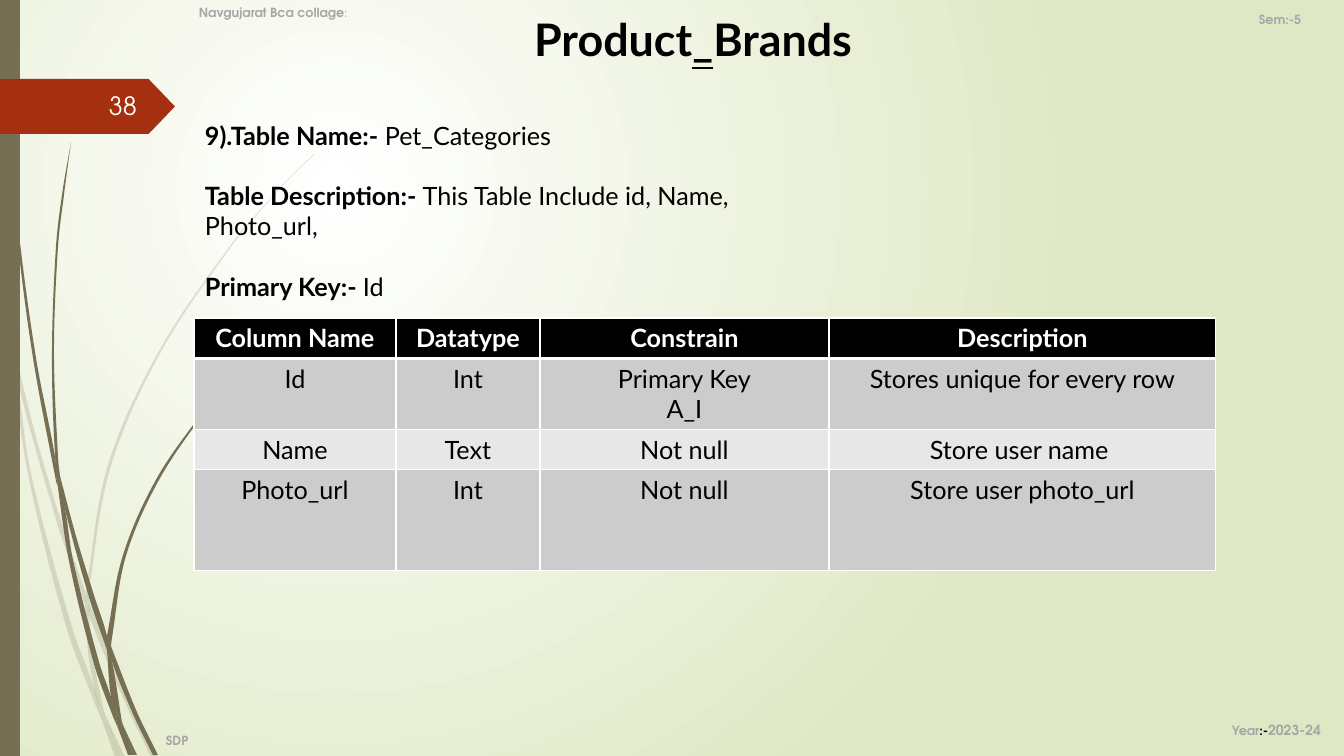
from math import dist

from lxml import etree
from pptx import Presentation
from pptx.dml.color import RGBColor
from pptx.enum.shapes import MSO_SHAPE
from pptx.enum.text import MSO_ANCHOR, MSO_AUTO_SIZE, PP_ALIGN
from pptx.oxml.ns import qn
from pptx.util import Emu, Pt

PX = 914400 / 100.8
WIDTH, HEIGHT = 1344, 756
TITLE_ONLY = 5
LEFT, CENTER = PP_ALIGN.LEFT, PP_ALIGN.CENTER
TOP, MIDDLE = MSO_ANCHOR.TOP, MSO_ANCHOR.MIDDLE
NO_AUTOFIT = MSO_AUTO_SIZE.NONE
RECTANGLE, PENTAGON = MSO_SHAPE.RECTANGLE, MSO_SHAPE.PENTAGON

LATO, ADVENTOR = "Lato", "TeX Gyre Adventor"
BLACK = RGBColor(0x00, 0x00, 0x00)
WHITE = RGBColor(0xFF, 0xFF, 0xFF)
PALE_GREEN = RGBColor(0xDF, 0xE8, 0xC4)
OLIVE = RGBColor(0x76, 0x6F, 0x54)
RUST = RGBColor(0xA5, 0x30, 0x10)
FOOTER_GRAY = RGBColor(0xA6, 0xA6, 0xA6)
ROW_DARK = RGBColor(0xCC, 0xCC, 0xCC)
ROW_LIGHT = RGBColor(0xE7, 0xE7, 0xE7)

# Each blade of grass: the points of its left and right edge, from the top down
FADED_BLADES = [
    ([(0, 301), (10, 347), (11, 353)], [(0, 284), (9, 325), (11, 353)]),
    ([(14, 348), (17, 379), (58, 526), (85, 604)], [(14, 348), (36, 437), (62, 524), (85, 591)]),
    ([(89, 601), (89, 615), (124, 700), (151, 757)],
     [(89, 601), (93, 612), (128, 698), (156, 757)]),
    ([(106, 717), (120, 757)], [(106, 717), (125, 757)]),
    ([(11, 353), (28, 474), (66, 626), (93, 699), (102, 720)],
     [(11, 353), (17, 379), (31, 473), (71, 624), (94, 688), (100, 713), (102, 720)]),
    ([(85, 604), (88, 651), (94, 688), (97, 698), (106, 717)],
     [(85, 604), (89, 615), (92, 651), (104, 712), (106, 717)]),
    ([(314, 154), (291, 176), (270, 199), (230, 246), (159, 351), (108, 465), (86, 591)],
     [(315, 154), (292, 176), (270, 200), (231, 247), (161, 352), (111, 466), (89, 589),
      (89, 601)]),
    ([(102, 720), (115, 757)], [(102, 720), (120, 757)]),
    ([(86, 591), (85, 604), (89, 613)], [(86, 591), (89, 601), (89, 615)]),
    ([(94, 688), (100, 713), (102, 720), (120, 757)],
     [(94, 688), (97, 698), (106, 717), (120, 757)]),
]
SOLID_BLADES = [
    ([(3, 0), (4, 48), (7, 111), (17, 235), (33, 358), (56, 481), (57, 485)],
     [(4, 0), (5, 48), (8, 110), (19, 234), (36, 358), (55, 457), (57, 485)]),
    ([(60, 476), (65, 509), (89, 597), (107, 650)],
     [(60, 476), (76, 536), (94, 595), (107, 636), (107, 650)]),
    ([(111, 646), (112, 661), (133, 714), (153, 755)],
     [(111, 646), (114, 654), (137, 712), (158, 755)]),
    ([(57, 481), (69, 561), (94, 664), (112, 714), (118, 728)],
     [(57, 481), (65, 509), (73, 560), (99, 662), (111, 697), (117, 723), (118, 728)]),
    ([(71, 142), (62, 195), (56, 247), (52, 352), (55, 453), (60, 476)],
     [(71, 142), (64, 195), (58, 247), (54, 352), (58, 457), (60, 476)]),
    ([(123, 725), (134, 755)], [(123, 725), (137, 755)]),
    ([(55, 453), (57, 481), (65, 509)], [(55, 453), (60, 476), (65, 509)]),
    ([(262, 347), (247, 361), (233, 376), (206, 408), (157, 478), (123, 555), (107, 636)],
     [(263, 347), (247, 362), (233, 377), (207, 409), (159, 480), (126, 556), (112, 638),
      (111, 646)]),
    ([(118, 728), (128, 755)], [(118, 728), (132, 755)]),
    ([(107, 650), (111, 697), (117, 712), (123, 725)],
     [(107, 650), (112, 661), (122, 722), (123, 725)]),
    ([(107, 636), (107, 650), (110, 656)], [(107, 636), (111, 646), (112, 661)]),
    ([(111, 697), (117, 723), (118, 728), (131, 755)],
     [(111, 697), (117, 712), (123, 725), (134, 755)]),
]

DETAILS = [
    ("9).Table Name:-", " Pet_Categories"),
    ("Table Description:- ", "This Table Include id, Name, Photo_url,"),
    ("Primary Key:- ", "Id"),
]
COLUMN_WIDTHS = [202, 144, 289, 387]
ROW_HEIGHTS = [40, 71, 40, 101]
TABLE_ROWS = [
    ["Column Name", "Datatype", "Constrain", "Description"],
    ["Id", "Int", "Primary Key\nA_I", "Stores unique for every row"],
    ["Name", "Text", "Not null", "Store user name "],
    ["Photo_url", "Int", "Not null", "Store user photo_url"],
]


def px(length):
    return Emu(round(length * PX))


def write_run(paragraph, text, size=18, font=LATO, color=BLACK, bold=False, underline=False):
    run = paragraph.add_run()
    run.text = text
    run.font.size, run.font.name = Pt(size), font
    run.font.color.rgb = color
    run.font.bold, run.font.underline = bold, underline


def write_text(frame, paragraphs, align=LEFT, anchor=TOP, gap=0, **style):
    """Write paragraphs, each a list of (text, style changes) runs."""
    frame.word_wrap = True
    frame.auto_size = NO_AUTOFIT
    frame.vertical_anchor = anchor
    for index, runs in enumerate(paragraphs):
        paragraph = frame.add_paragraph() if index else frame.paragraphs[0]
        paragraph.alignment = align
        if index and gap:
            paragraph.space_before = Pt(gap)
        for text, changes in runs:
            write_run(paragraph, text, **{**style, **changes})


def add_text(slide, box, paragraphs, **style):
    shape = slide.shapes.add_textbox(*map(px, box))
    write_text(shape.text_frame, paragraphs, **style)


def paint(shape, color):
    shape.shadow.inherit = False
    shape.fill.solid()
    shape.fill.fore_color.rgb = color
    shape.line.fill.background()


def edge_controls(edge):
    """Two Bezier control points for each step of an edge."""
    padded = [edge[0], *edge, edge[-1]]
    for a, b, c, d in zip(padded, padded[1:], padded[2:], padded[3:]):
        reach = dist(b, c) / 3
        yield tuple(tuple(p + sign * reach * (v - u) / dist(start, end)
                          for p, u, v in zip(point, start, end))
                    for point, start, end, sign in ((b, a, c, 1), (c, b, d, -1)))


def add_blade(slide, left_edge, right_edge, opacity=100):
    upward = right_edge[::-1]
    outline = left_edge + upward
    builder = slide.shapes.build_freeform(*map(px, outline[0]))
    builder.add_line_segments([tuple(map(px, point)) for point in outline[1:]], close=True)
    shape = builder.convert_to_shape()
    paint(shape, OLIVE)
    # Bend the straight steps along both edges; the step between the edges stays straight
    controls = [*edge_controls(left_edge), None, *edge_controls(upward)]
    for line, pair in zip(list(shape._element.iter(qn("a:lnTo"))), controls):
        if pair:
            line.tag = qn("a:cubicBezTo")
            for index, (x, y) in enumerate(pair):
                point = etree.Element(qn("a:pt"), x=str(px(x) - shape.left),
                                      y=str(px(y) - shape.top))
                line.insert(index, point)
    if opacity < 100:
        color = shape._element.spPr.find(qn("a:solidFill")).find(qn("a:srgbClr"))
        etree.SubElement(color, qn("a:alpha"), val=str(opacity * 1000))


def set_background(slide):
    fill = slide.background.fill
    fill.gradient()
    for stop, color in zip(fill.gradient_stops, (WHITE, PALE_GREEN)):
        stop.color.rgb = color
    gradient = next(slide._element.iter(qn("a:gradFill")))
    gradient.remove(gradient.find(qn("a:lin")))
    circle = etree.SubElement(gradient, qn("a:path"), path="circle")
    etree.SubElement(circle, qn("a:fillToRect"), l="50000", t="50000", r="100000", b="100000")


def add_decoration(slide):
    for blades, opacity in ((FADED_BLADES, 20), (SOLID_BLADES, 100)):
        for edges in blades:
            add_blade(slide, *edges, opacity=opacity)
    paint(slide.shapes.add_shape(RECTANGLE, 0, 0, px(20), px(HEIGHT)), OLIVE)


def add_page_tab(slide, left, top, width, height):
    tab = slide.shapes.add_shape(PENTAGON, *map(px, (left, top, width, height)))
    tab.adjustments[0] = 0.48
    paint(tab, RUST)
    add_text(slide, (left + 99, top + 6, 70, 40), [[("38", {})]], font=ADVENTOR, color=WHITE)


def add_title(slide, left, top, width, height):
    title = slide.shapes.title
    title.left, title.top, title.width, title.height = map(px, (left, top, width, height))
    runs = [("Product", {}), ("_", {"underline": True}), ("Brands", {})]
    write_text(title.text_frame, [runs], size=32, bold=True)


def set_borders(cell, top=1, bottom=1):
    properties = cell._tc.get_or_add_tcPr()
    for index, (side, width) in enumerate((("L", 1), ("R", 1), ("T", top), ("B", bottom))):
        line = etree.Element(qn(f"a:ln{side}"), w=str(Pt(width)))
        fill = etree.SubElement(line, qn("a:solidFill"))
        etree.SubElement(fill, qn("a:srgbClr"), val=str(WHITE))
        properties.insert(index, line)


def add_schema_table(slide, left, top):
    box = (left, top, sum(COLUMN_WIDTHS), sum(ROW_HEIGHTS))
    table = slide.shapes.add_table(len(ROW_HEIGHTS), len(COLUMN_WIDTHS), *map(px, box)).table
    for column, width in zip(table.columns, COLUMN_WIDTHS):
        column.width = px(width)
    for row_index, (row, height) in enumerate(zip(table.rows, ROW_HEIGHTS)):
        row.height = px(height)
        header = row_index == 0
        color = BLACK if header else ROW_DARK if row_index % 2 else ROW_LIGHT
        style = {"color": WHITE if header else BLACK, "bold": header}
        for cell, text in zip(row.cells, TABLE_ROWS[row_index]):
            cell.fill.solid()
            cell.fill.fore_color.rgb = color
            set_borders(cell, top=3 if row_index == 1 else 1, bottom=3 if header else 1)
            for index, line in enumerate(text.split("\n")):
                frame = cell.text_frame
                paragraph = frame.add_paragraph() if index else frame.paragraphs[0]
                paragraph.alignment = CENTER
                write_run(paragraph, line, **style)


def add_margin_notes(slide):
    style = {"size": 9, "font": ADVENTOR, "color": FOOTER_GRAY, "bold": True}
    college = [("Navgujarat Bca collage", {}), (":", {"bold": False})]
    year = [("Year", {}), (":-", {"color": BLACK}), ("2023-24", {"size": 10})]
    add_text(slide, (189, 0, 202, 24), [college], anchor=MIDDLE, **style)
    add_text(slide, (1249, 0, 95, 39), [[("Sem:-5", {})]], anchor=MIDDLE, **style)
    add_text(slide, (156, 728, 672, 25), [[("SDP", {})]], **style)
    add_text(slide, (1222, 710, 111, 40), [year], anchor=MIDDLE, **style)


def main():
    presentation = Presentation()
    presentation.slide_width, presentation.slide_height = px(WIDTH), px(HEIGHT)
    slide = presentation.slides.add_slide(presentation.slide_layouts[TITLE_ONLY])
    set_background(slide)
    add_decoration(slide)
    add_page_tab(slide, 0, 79, 175, 55)
    add_title(slide, 524, 7, 672, 65)
    details = [[(label, {"bold": True}), (value, {})] for label, value in DETAILS]
    add_text(slide, (195, 115, 605, 194), details, gap=21.6)
    add_schema_table(slide, 194, 318)
    add_margin_notes(slide)
    presentation.save("out.pptx")


if __name__ == "__main__":
    main()
